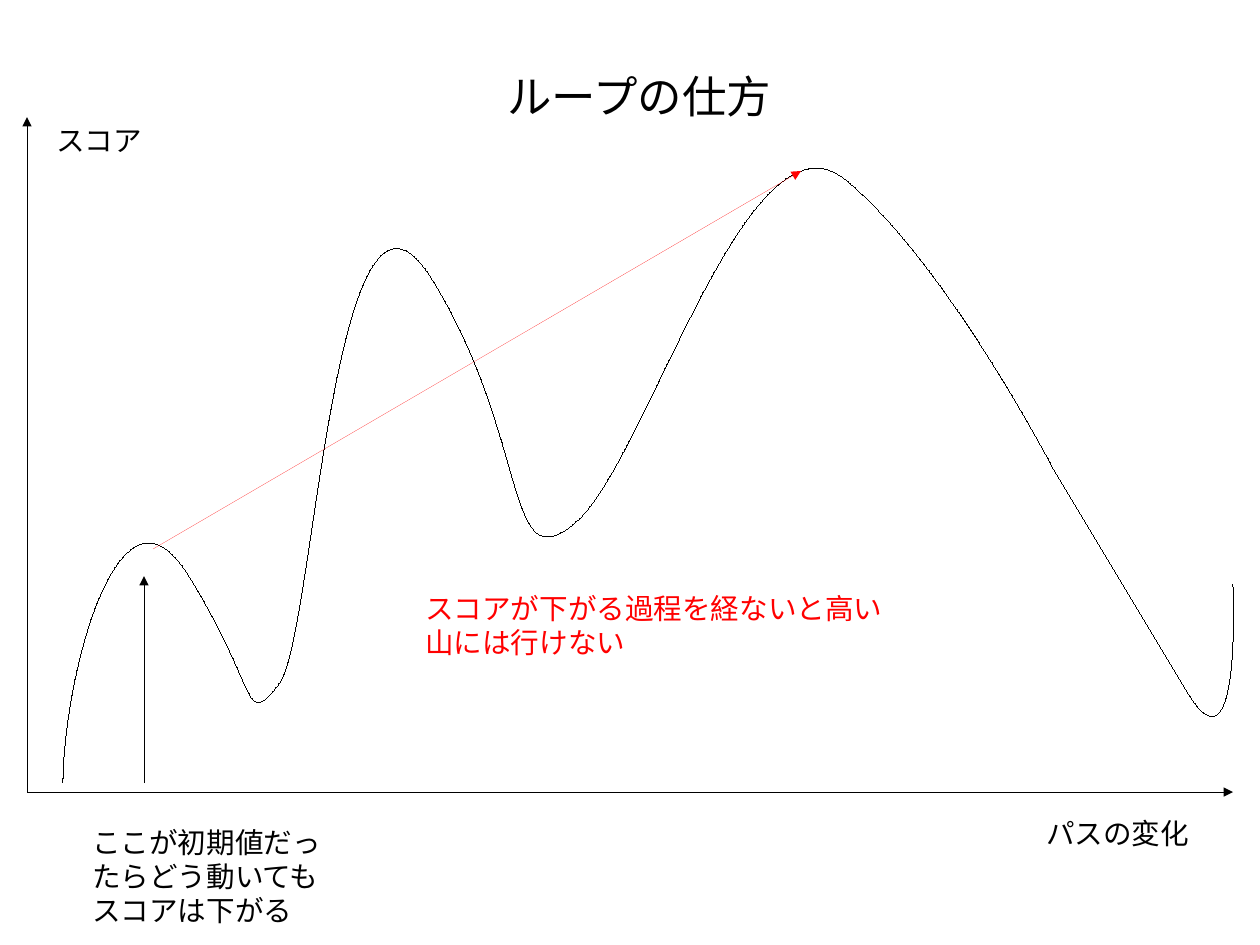
from lxml import etree
from pptx import Presentation
from pptx.dml.color import RGBColor
from pptx.enum.shapes import MSO_CONNECTOR
from pptx.enum.text import MSO_ANCHOR, MSO_AUTO_SIZE, PP_ALIGN
from pptx.oxml.ns import qn
from pptx.util import Mm, Pt

STRAIGHT = MSO_CONNECTOR.STRAIGHT
TOP = MSO_ANCHOR.TOP
FIT_SHAPE = MSO_AUTO_SIZE.SHAPE_TO_FIT_TEXT
LEFT, CENTER = PP_ALIGN.LEFT, PP_ALIGN.CENTER

COLORS = {"ink": "000000", "warning": "FF0000"}
FONT = "Arial"
CELL = Mm(2)
COLUMNS, ROWS = 140, 105

PLOT_BOX = (3, 13, 134, 75)
TITLE_BOX = (29, 7, 84, 8.4)

CURVE_START = (4, 1)
CURVE_CORNER = (134, 69.33)
CURVE_SEGMENTS = [
    ((4, 12), (10, 37), (18, 24)),
    ((26, 11), (24, 7), (28, 12)),
    ((32, 17), (34, 74.8), (45, 57)),
    ((56, 39.2), (53, 23), (61, 30)),
    ((69, 37), (80, 77), (91, 68)),
    ((102, 59), (114, 36), (114, 36)),
    ((114, 36), (123, 21), (129, 11)),
    ((135, 1), (134, 23), (134, 23)),
]
LABELS = [
    ("スコア", (2, 75, 13, 5.8), "ink"),
    ("パスの変化", (112, -2, 22, 5.8), "ink"),
    ("ここが初期値だったらどう動いてもスコアは下がる", (6, -3, 28, 15), "ink"),
    ("スコアが下がる過程を経ないと高い山には行けない", (43, 23, 56, 10.4), "warning"),
]


def cells(value):
    """Turn a number of grid cells into a length."""
    return round(value * CELL)


def color(name):
    """Look up a colour by its role."""
    return RGBColor.from_string(COLORS[name])


def write(shape, text, size, color_name, alignment):
    """Fill a shape with one formatted paragraph."""
    frame = shape.text_frame
    frame.text = text
    frame.word_wrap = True
    frame.auto_size = FIT_SHAPE
    frame.vertical_anchor = TOP
    paragraph = frame.paragraphs[0]
    paragraph.alignment = alignment
    font = paragraph.runs[0].font
    font.name, font.size = FONT, Pt(size)
    font.color.rgb = color(color_name)


def add_title(slide, box):
    """Place the slide title in its box."""
    title = slide.shapes.title
    title.left, title.top, title.width, title.height = map(cells, box)
    write(title, "ループの仕方", 28, "ink", CENTER)


def set_hairline(shape, color_name):
    """Give a shape the thinnest line and return the line element."""
    shape.line.color.rgb = color(color_name)
    line = shape._element.spPr.find(qn("a:ln"))
    line.set("w", "0")
    shape._element.remove(shape._element.find(qn("p:style")))
    return line


def add_arrow(slide, start, end, color_name):
    """Draw a hairline arrow between two points."""
    arrow = slide.shapes.add_connector(STRAIGHT, *start, *end)
    line = set_hairline(arrow, color_name)
    etree.SubElement(line, qn("a:tailEnd"), type="triangle")
    etree.SubElement(arrow._element.spPr, qn("a:effectLst"))


def add_curve(slide, place):
    """Draw the score curve as cubic segments."""
    builder = slide.shapes.build_freeform(*place(*CURVE_START))
    builder.add_line_segments([place(*CURVE_CORNER)], close=False)
    curve = builder.convert_to_shape()
    curve.shadow.inherit = False
    curve.fill.background()
    set_hairline(curve, "ink")
    outline = next(curve._element.iter(qn("a:path")))
    outline.remove(outline.find(qn("a:lnTo")))
    for segment in CURVE_SEGMENTS:
        cubic = etree.SubElement(outline, qn("a:cubicBezTo"))
        for point in segment:
            x, y = place(*point)
            etree.SubElement(
                cubic, qn("a:pt"), x=str(x - curve.left), y=str(y - curve.top)
            )


def add_plot(slide, box):
    """Draw axes, score curve, arrows and labels in the plot box."""
    left, top, width, height = box

    def place(x, y):
        """Convert plot coordinates, with y upwards, to slide lengths."""
        return cells(left + x), cells(top + height - y)

    add_curve(slide, place)

    for start, end, color_name in [
        ((13, 1), (13, 24), "ink"),
        ((0, 0), (0, height), "ink"),
        ((0, 0), (width, 0), "ink"),
        ((14, 27), (86, 69), "warning"),
    ]:
        add_arrow(slide, place(*start), place(*end), color_name)

    for text, (x, y, label_width, label_height), color_name in LABELS:
        label = slide.shapes.add_textbox(
            *place(x, y), cells(label_width), cells(label_height)
        )
        write(label, text, 18, color_name, LEFT)


def main():
    """Build the presentation and save it."""
    presentation = Presentation()
    presentation.slide_width = cells(COLUMNS)
    presentation.slide_height = cells(ROWS)
    slide = presentation.slides.add_slide(presentation.slide_layouts[5])
    add_title(slide, TITLE_BOX)
    add_plot(slide, PLOT_BOX)
    presentation.save("out.pptx")


if __name__ == "__main__":
    main()
